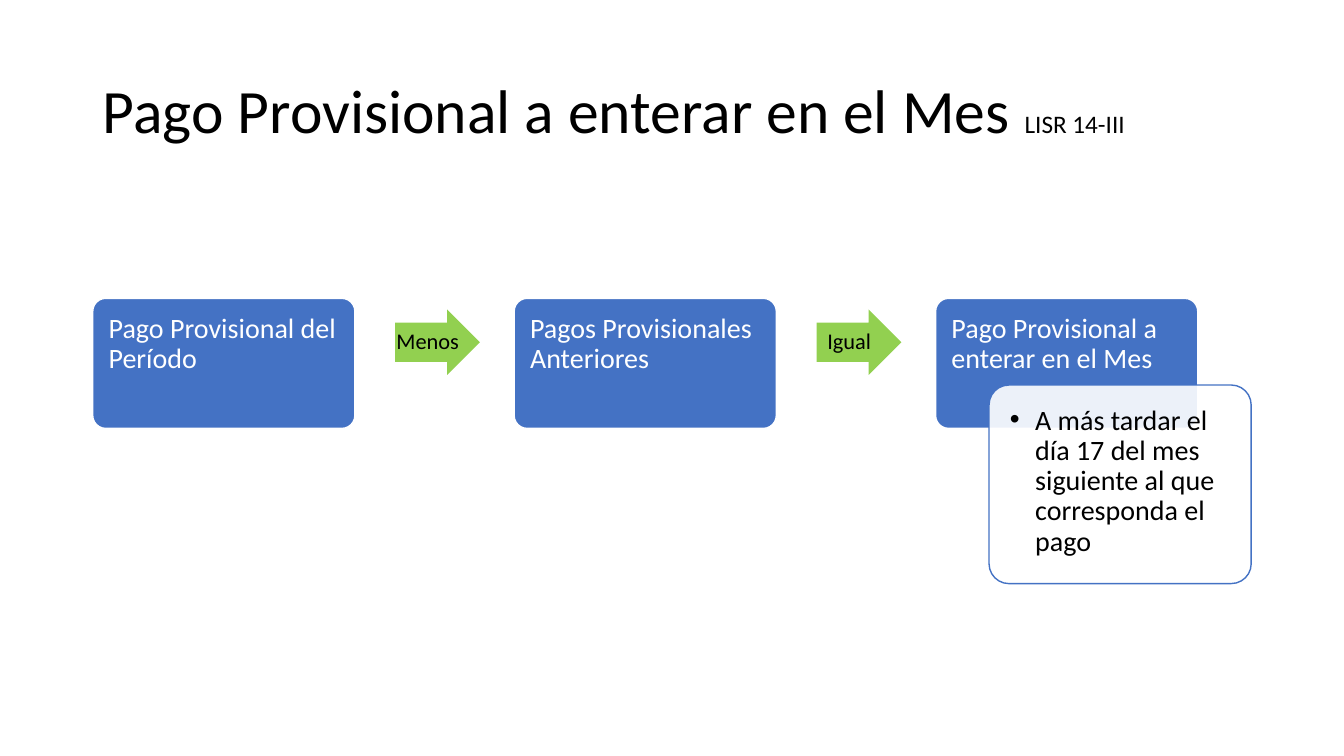
from dataclasses import dataclass

from lxml.etree import SubElement
from pptx import Presentation
from pptx.dml.color import RGBColor
from pptx.enum.shapes import MSO_SHAPE as Preset
from pptx.enum.text import MSO_ANCHOR as Anchor, MSO_AUTO_SIZE as AutoSize, PP_ALIGN as Align
from pptx.oxml.ns import qn
from pptx.shapes.autoshape import Shape
from pptx.slide import Slide
from pptx.util import Inches, Pt

COLORS = {"blue": "4472C4", "green": "92D050", "white": "FFFFFF", "black": "000000"}
FONT = "Calibri"
FIRST_LEFT, STEP_PITCH = 0.92, 4.18
ARROW_OFFSET = 3.0


@dataclass(frozen=True)
class Style:
    preset: Preset
    width: float
    height: float
    adjustments: tuple[float, ...]
    fill: str
    line: str | None
    text_color: str
    size: int
    insets: tuple[float, float, float, float]
    anchor: Anchor = Anchor.TOP
    align: Align = Align.LEFT


@dataclass(frozen=True)
class Step:
    concept: str
    operator: str | None = None


STEP_STYLE = Style(Preset.ROUNDED_RECTANGLE, 2.6, 1.29, (0.1,), "blue", "white",
                   "white", 20, (0.12, 0.12, 0.12, 0.47))
OPERATOR_STYLE = Style(Preset.RIGHT_ARROW, 0.84, 0.65, (0.6, 0.5), "green", None,
                       "black", 16, (0, 0, 0, 0), Anchor.MIDDLE, Align.CENTER)
DEADLINE_STYLE = Style(Preset.ROUNDED_RECTANGLE, 2.6, 1.97, (0.1,), "white", "blue",
                       "black", 20, (0.15, 0.15, 0.15, 0.15))

STEPS = (
    Step("Pago Provisional del Período", "Menos"),
    Step("Pagos Provisionales Anteriores", "Igual"),
    Step("Pago Provisional a enterar en el Mes"),
)
DEADLINE = "A más tardar el día 17 del mes siguiente al que corresponda el pago"


def rgb(name: str) -> RGBColor:
    return RGBColor.from_string(COLORS[name])


def add_run(paragraph, text: str, size: int, color: str) -> None:
    run = paragraph.add_run()
    run.text = text
    run.font.name = FONT
    run.font.size = Pt(size)
    run.font.color.rgb = rgb(color)


def fill_title(slide: Slide) -> None:
    title = slide.shapes.title
    title.left, title.top = Inches(0.92), Inches(0.4)
    title.width, title.height = Inches(11.5), Inches(1.45)
    frame = title.text_frame
    frame.auto_size = AutoSize.NONE
    frame.word_wrap = True
    frame.vertical_anchor = Anchor.MIDDLE
    heading = frame.paragraphs[0]
    heading.alignment = Align.LEFT
    heading.line_spacing = 0.9
    add_run(heading, "Pago Provisional a enterar en el Mes ", 44, "black")
    add_run(heading, "LISR 14-III", 18, "black")


def add_block(slide: Slide, style: Style, left: float, top: float, text: str) -> Shape:
    block = slide.shapes.add_shape(style.preset, Inches(left), Inches(top),
                                   Inches(style.width), Inches(style.height))
    block.shadow.inherit = False
    for index, value in enumerate(style.adjustments):
        block.adjustments[index] = value
    block.fill.solid()
    block.fill.fore_color.rgb = rgb(style.fill)
    if style.line:
        block.line.color.rgb = rgb(style.line)
        block.line.width = Pt(1)
    else:
        block.line.fill.background()

    frame = block.text_frame
    frame.word_wrap = True
    frame.vertical_anchor = style.anchor
    (frame.margin_left, frame.margin_top,
     frame.margin_right, frame.margin_bottom) = map(Inches, style.insets)
    paragraph = frame.paragraphs[0]
    paragraph.alignment = style.align
    paragraph.line_spacing = 0.9
    add_run(paragraph, text, style.size, style.text_color)
    return block


def add_bullet(block: Shape, indent: float) -> None:
    properties = block.text_frame.paragraphs[0]._p.get_or_add_pPr()
    properties.set("marL", str(Inches(indent)))
    properties.set("indent", str(-Inches(indent)))
    SubElement(properties, qn("a:buFont")).set("typeface", "Arial")
    SubElement(properties, qn("a:buChar")).set("char", "•")


def set_opacity(block: Shape, percent: int) -> None:
    color = block._element.spPr.find(qn("a:solidFill")).find(qn("a:srgbClr"))
    SubElement(color, qn("a:alpha")).set("val", str(percent * 1000))


def main() -> None:
    presentation = Presentation()
    presentation.slide_width, presentation.slide_height = Inches(13.33), Inches(7.5)
    slide = presentation.slides.add_slide(presentation.slide_layouts[5])
    fill_title(slide)

    for index, step in enumerate(STEPS):
        left = FIRST_LEFT + index * STEP_PITCH
        add_block(slide, STEP_STYLE, left, 2.96, step.concept)
        if step.operator:
            add_block(slide, OPERATOR_STYLE, left + ARROW_OFFSET, 3.07, step.operator)

    deadline = add_block(slide, DEADLINE_STYLE, 9.81, 3.82, DEADLINE)
    add_bullet(deadline, 0.25)
    set_opacity(deadline, 90)
    presentation.save("out.pptx")


if __name__ == "__main__":
    main()
